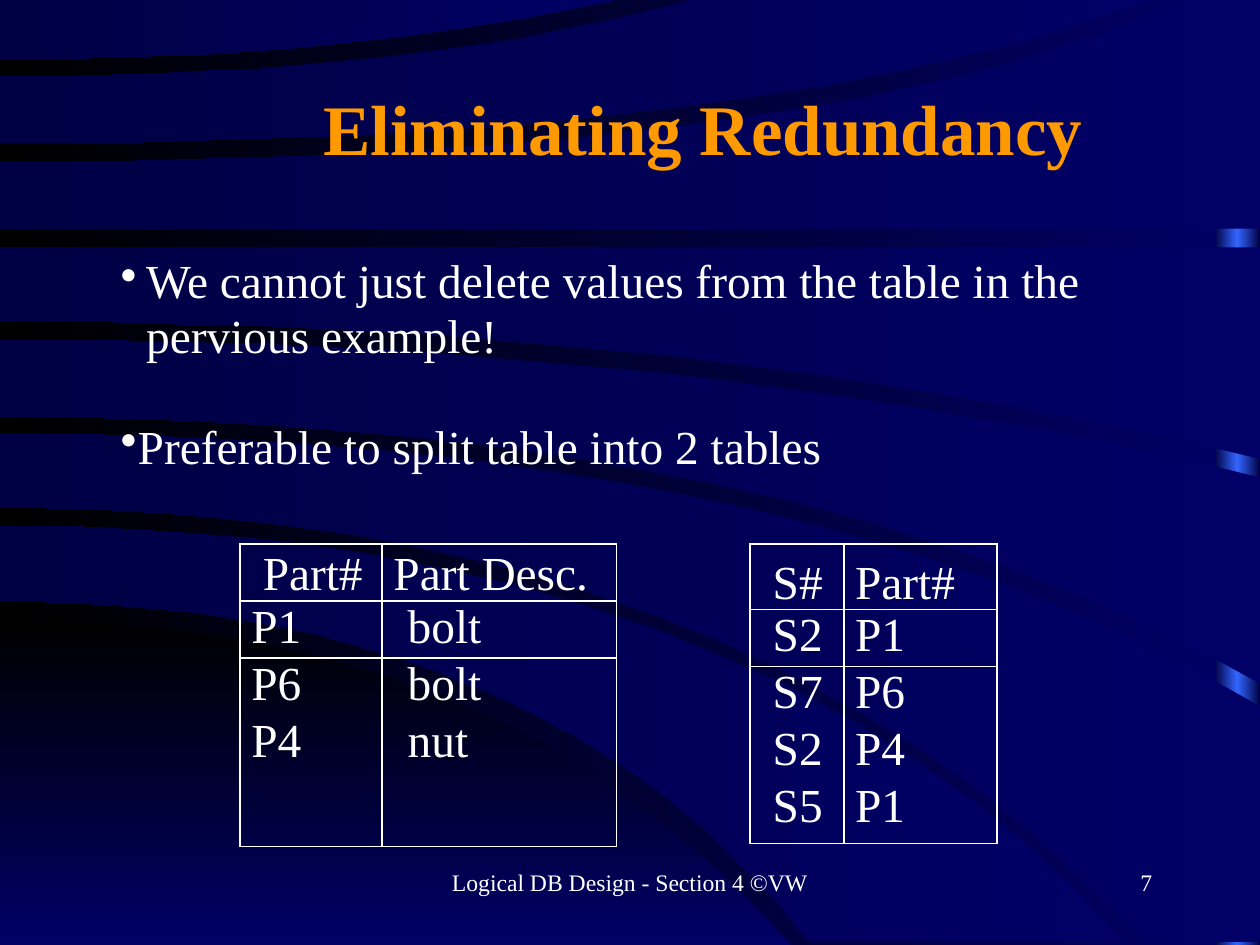
from copy import deepcopy
from dataclasses import dataclass
from typing import NamedTuple, Optional

from lxml.etree import SubElement
from pptx import Presentation
from pptx.dml.color import RGBColor
from pptx.dml.fill import FillFormat
from pptx.enum.shapes import MSO_SHAPE
from pptx.enum.text import MSO_ANCHOR, PP_ALIGN
from pptx.oxml import parse_xml
from pptx.oxml.ns import nsdecls, qn
from pptx.shapes.base import BaseShape
from pptx.slide import Slide
from pptx.text.text import _Paragraph
from pptx.util import Inches, Pt

COLS, ROWS = 887, 665
UNIT = Inches(0.01)
FONT = "Times New Roman"
WHITE, ORANGE = "FFFFFF", "FF9900"
NAVY, DEEP, BLACK, BRIGHT = "000066", "000044", "000000", "3366FF"
NO_STYLE = "{2D5ABB26-0587-4C30-8999-92F81FD0307C}"
LINE_SPACING = 0.97
STEPS = 16
STRIP = 32
TABLE_TOP, TABLE_HEIGHT, RECORD_HEIGHT = 383, 207, 38.8


class Edge(NamedTuple):
    start: int
    bend: int
    right: int
    end: int

    def points(self) -> list[tuple[float, float]]:
        ts = [i / STEPS for i in range(STEPS + 1)]
        return [(2 * t * (1 - t) * self.bend + t * t * self.right,
                 self.start + t * t * (self.end - self.start)) for t in ts]


@dataclass
class Band:
    upper: Edge
    lower: Edge
    corner: Optional[tuple[int, int]] = None
    colors: tuple[str, ...] = (NAVY, DEEP)
    angle: int = 180


@dataclass
class Label:
    text: str
    box: tuple[int, int, int, int]
    size: int
    color: str = WHITE
    bold: bool = False
    align: PP_ALIGN = PP_ALIGN.CENTER
    anchor: MSO_ANCHOR = MSO_ANCHOR.TOP
    spacing: float = 1.0


@dataclass
class Bullet:
    lines: list[str]
    indent: int
    before: int = 0


@dataclass
class Relation:
    left: int
    widths: list[int]
    head_height: int
    records: list[list[str]]
    head_margins: list[int]
    body_margins: list[int]


def flat(y: int, right: int) -> Edge:
    return Edge(y, right // 2, right, y)


BANDS = [
    Band(Edge(436, 356, 557, ROWS), flat(ROWS, 557), None, (BLACK, NAVY), 270),
    Band(Edge(370, 528, 792, 663), Edge(423, 384, 570, 663)),
    Band(Edge(305, 567, COLS, 497), Edge(357, 525, 807, 663), (COLS, 663)),
    Band(Edge(239, 496, COLS, 336), Edge(293, 558, COLS, 481)),
    Band(flat(174, COLS), Edge(226, 496, COLS, 323)),
    Band(Edge(114, 598, 837, -2), flat(161, COLS), (COLS, -2)),
    Band(Edge(54, 302, 493, -2), Edge(101, 553, 814, -2)),
    Band(flat(-2, 444), Edge(42, 248, 444, -2)),
]

LABELS = [
    Label("Eliminating Redundancy", (138, 51, 714, 82), 36, ORANGE, True,
          anchor=MSO_ANCHOR.MIDDLE, spacing=LINE_SPACING),
    Label("Logical DB Design - Section 4 ©VW", (303, 606, 281, 44), 12),
    Label("7", (636, 606, 185, 44), 12, align=PP_ALIGN.RIGHT),
]

BULLETS = [
    Bullet(["We cannot just delete values from the table in the", "pervious example!"], 18),
    Bullet(["Preferable to split table into 2 tables"], 12, 28),
]

RELATIONS = [
    Relation(169, [100, 165], 38,
             [["Part#", "Part Desc."], ["P1", "bolt"], ["P6", "bolt"], ["P4", "nut"], ["", ""]],
             [16, 8], [8, 18]),
    Relation(528, [66, 108], 46,
             [["S#", "Part#"], ["S2", "P1"], ["S7", "P6"], ["S2", "P4"], ["S5", "P1"]],
             [16, 8], [16, 8]),
]


def grid(n: float) -> int:
    return round(n * UNIT)


def rgb(color: str) -> RGBColor:
    return RGBColor.from_string(color)


def add_run(p: _Paragraph, text: str, size: int, color: str = WHITE, bold: bool = False) -> None:
    r = p.add_run()
    r.text = text
    r.font.name, r.font.size, r.font.bold = FONT, Pt(size), bold
    r.font.color.rgb = rgb(color)


def set_gradient(fill: FillFormat, colors: tuple[str, ...], angle: int) -> None:
    fill.gradient()
    fill.gradient_angle = angle
    last = fill.gradient_stops[-1]._gs
    for _ in colors[2:]:
        last.addnext(deepcopy(last))
    for i, (stop, color) in enumerate(zip(fill.gradient_stops, colors)):
        stop.position = i / (len(colors) - 1)
        stop.color.rgb = rgb(color)


def finish_shape(sp: BaseShape, colors: tuple[str, ...], angle: int) -> None:
    set_gradient(sp.fill, colors, angle)
    sp.line.fill.background()
    sp.shadow.inherit = False


def draw_band(s: Slide, band: Band) -> None:
    corner = [band.corner] if band.corner else []
    outline = band.upper.points() + corner + band.lower.points()[::-1]
    builder = s.shapes.build_freeform(*outline[0], scale=UNIT)
    builder.add_line_segments(outline[1:], close=True)
    finish_shape(builder.convert_to_shape(), band.colors, band.angle)


def draw_label(s: Slide, label: Label) -> None:
    tf = s.shapes.add_textbox(*map(grid, label.box)).text_frame
    tf.word_wrap = True
    tf.vertical_anchor = label.anchor
    p = tf.paragraphs[0]
    p.alignment, p.line_spacing = label.align, label.spacing
    add_run(p, label.text, label.size, label.color, label.bold)


def draw_bullets(s: Slide, bullets: list[Bullet]) -> None:
    tf = s.shapes.add_textbox(*map(grid, (78, 176, 720, 161))).text_frame
    tf.word_wrap = True
    tf.margin_left = tf.margin_right = grid(7)
    tf.margin_top = tf.margin_bottom = grid(3)
    for i, bullet in enumerate(bullets):
        p = tf.add_paragraph() if i else tf.paragraphs[0]
        p.line_spacing = LINE_SPACING
        if bullet.before:
            p.space_before = Pt(bullet.before)
        pPr = p._p.get_or_add_pPr()
        pPr.set("marL", str(grid(bullet.indent)))
        pPr.set("indent", str(-grid(bullet.indent)))
        SubElement(pPr, qn("a:buChar"), char="•")
        for j, line in enumerate(bullet.lines):
            if j:
                p.add_line_break()
            add_run(p, line, 24)


def draw_relation(s: Slide, rel: Relation) -> None:
    rows, cols = len(rel.records), len(rel.widths)
    heights = [rel.head_height] + [RECORD_HEIGHT] * (rows - 2)
    heights.append(TABLE_HEIGHT - sum(heights))
    table = s.shapes.add_table(rows, cols, grid(rel.left), grid(TABLE_TOP),
                               grid(sum(rel.widths)), grid(TABLE_HEIGHT)).table
    table.first_row = table.horz_banding = False
    table._tbl.tblPr.find(qn("a:tableStyleId")).text = NO_STYLE
    for column, width in zip(table.columns, rel.widths):
        column.width = grid(width)
    for i, record in enumerate(rel.records):
        table.rows[i].height = grid(heights[i])
        margins = rel.body_margins if i else rel.head_margins
        sides = "LR" + ("T" if i < 2 else "") + ("B" if i in (0, rows - 1) else "")
        for j, text in enumerate(record):
            cell = table.cell(i, j)
            cell.margin_left = grid(margins[j])
            cell.margin_right = cell.margin_top = cell.margin_bottom = 0
            cell.vertical_anchor = MSO_ANCHOR.TOP if i else MSO_ANCHOR.BOTTOM
            cell.fill.background()
            for k, side in enumerate(sides):
                cell._tc.tcPr.insert(k, parse_xml(
                    f'<a:ln{side} {nsdecls("a")} w="{Pt(1)}"><a:solidFill>'
                    f'<a:srgbClr val="{WHITE}"/></a:solidFill></a:ln{side}>'))
            if text:
                add_run(cell.text_frame.paragraphs[0], text, 24)


def main() -> None:
    prs = Presentation()
    prs.slide_width, prs.slide_height = grid(COLS), grid(ROWS)
    s = prs.slides.add_slide(prs.slide_layouts[6])
    set_gradient(s.background.fill, (NAVY, BLACK), 180)
    strip = s.shapes.add_shape(MSO_SHAPE.RECTANGLE, *map(grid, (COLS - STRIP, 0, STRIP, ROWS)))
    finish_shape(strip, (DEEP, BRIGHT, DEEP), 180)
    for band in BANDS:
        draw_band(s, band)
    for label in LABELS:
        draw_label(s, label)
    draw_bullets(s, BULLETS)
    for rel in RELATIONS:
        draw_relation(s, rel)
    prs.save("out.pptx")


if __name__ == "__main__":
    main()
